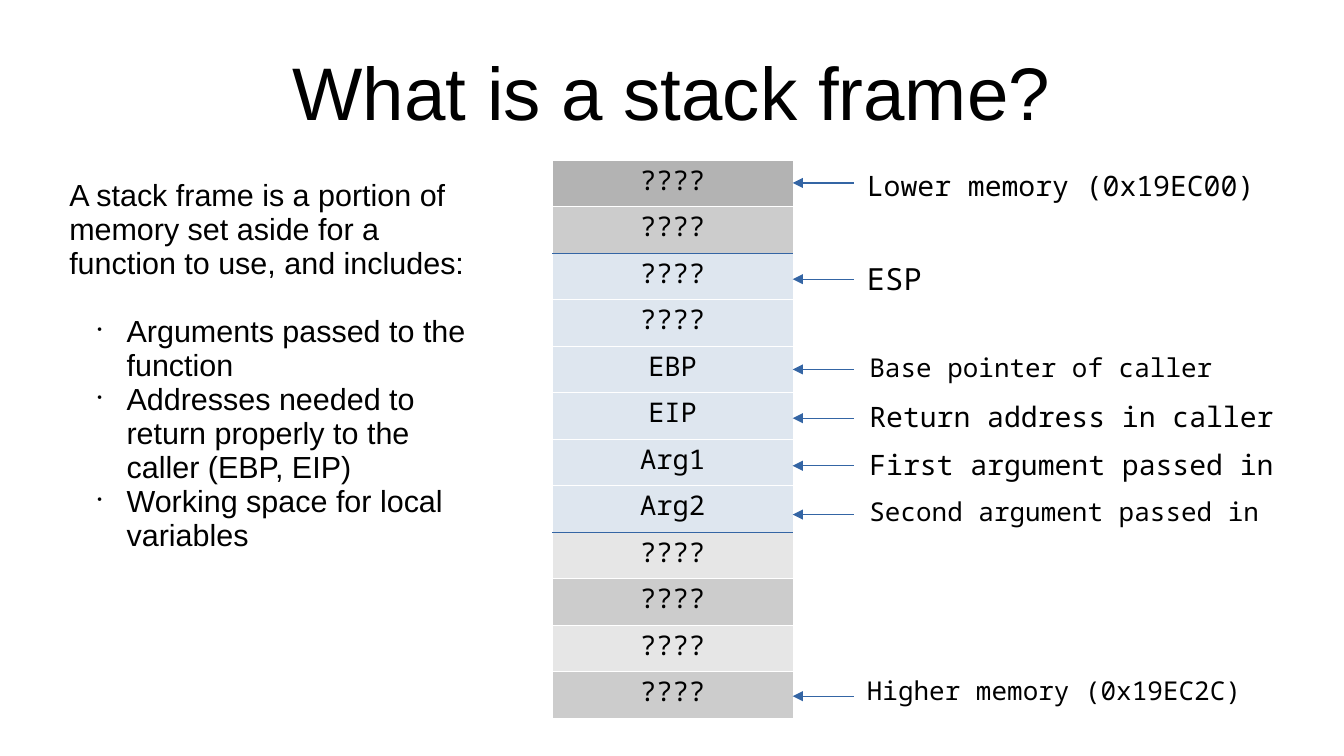
from dataclasses import dataclass

from lxml import etree
from pptx import Presentation
from pptx.dml.color import RGBColor
from pptx.enum.shapes import MSO_CONNECTOR
from pptx.enum.text import MSO_ANCHOR, MSO_AUTO_SIZE, PP_ALIGN
from pptx.oxml.ns import qn
from pptx.util import Inches, Pt

CENTER, LEFT = PP_ALIGN.CENTER, PP_ALIGN.LEFT
TOP, MIDDLE = MSO_ANCHOR.TOP, MSO_ANCHOR.MIDDLE
NO_AUTOFIT = MSO_AUTO_SIZE.NONE
STRAIGHT = MSO_CONNECTOR.STRAIGHT


@dataclass(frozen=True)
class Theme:
    text: str = "000000"
    accent: str = "3465A4"
    grid: str = "FFFFFF"
    dark: str = "B3B3B3"
    medium: str = "CCCCCC"
    light: str = "E6E6E6"
    frame: str = "DEE6EF"
    sans: str = "Arial"
    mono: str = "Noto Sans Mono"
    title_size: float = 44
    body_size: float = 18
    cell_size: float = 16
    label_size: float = 16.6
    small_label_size: float = 15.3
    border_width: float = 0.06
    arrow_width: float = 0.75


THEME = Theme()

STACK_LEFT, STACK_TOP, STACK_WIDTH, STACK_HEIGHT = 4.53, 1.31, 1.97, 4.58
STACK = [
    ("????", THEME.dark),
    ("????", THEME.medium),
    ("????", THEME.frame),
    ("????", THEME.frame),
    ("EBP", THEME.frame),
    ("EIP", THEME.frame),
    ("Arg1", THEME.frame),
    ("Arg2", THEME.frame),
    ("????", THEME.light),
    ("????", THEME.medium),
    ("????", THEME.light),
    ("????", THEME.medium),
]

# Text, left, top, width, size, line spacing, height of its arrow
LABELS = [
    ("Lower memory (0x19EC00)", 7.01, 1.36, 3.49, THEME.label_size, 0.73, 1.5),
    ("ESP", 7.01, 2.09, 0.61, THEME.body_size, 0.83, 2.29),
    ("Base pointer of caller", 7.03, 2.86, 3.22, THEME.small_label_size, 0.73, 3.03),
    ("Return address in caller", 7.03, 3.25, 3.72, THEME.label_size, 0.73, 3.43),
    ("First argument passed in", 7.03, 3.65, 3.72, THEME.label_size, 0.73, 3.82),
    ("Second argument passed in", 7.03, 4.04, 3.72, THEME.small_label_size, 0.73, 4.22),
    ("Higher memory (0x19EC2C)", 7.01, 5.51, 3.5, THEME.small_label_size, 0.73, 5.71),
]

INTRO = "A stack frame is a portion of memory set aside for a function to use, and includes:"
FRAME_PARTS = [
    "Arguments passed to the function",
    "Addresses needed to return properly to the caller (EBP, EIP)",
    "Working space for local variables",
]


def write_text(para, text, *, font, size, color=THEME.text, align=LEFT, spacing=0.93, before=0):
    para.alignment = align
    para.line_spacing = spacing
    para.space_before = Pt(before)
    para.space_after = Pt(0)
    span = para.add_run()
    span.text = text
    span.font.name = font
    span.font.size = Pt(size)
    span.font.color.rgb = RGBColor.from_string(color)


def add_bullet(para):
    para.level = 1
    properties = para._p.get_or_add_pPr()
    properties.set("marL", str(Inches(0.47)))
    properties.set("indent", str(Inches(-0.24)))
    color = etree.SubElement(properties, qn("a:buClr"))
    etree.SubElement(color, qn("a:srgbClr"), val=THEME.text)
    etree.SubElement(properties, qn("a:buSzPct"), val="45000")
    etree.SubElement(properties, qn("a:buChar"), char="•")


def set_borders(cell, **colors):
    """Draw the cell's edges; a keyword L, R, T or B overrides the grid colour."""
    properties = cell._tc.get_or_add_tcPr()
    for position, side in enumerate("LRTB"):
        line = etree.Element(qn(f"a:ln{side}"), w=str(Pt(THEME.border_width)))
        fill = etree.SubElement(line, qn("a:solidFill"))
        etree.SubElement(fill, qn("a:srgbClr"), val=colors.get(side, THEME.grid))
        properties.insert(position, line)


def set_frame(frame, margins, anchor=TOP, wrap=True):
    frame.auto_size = NO_AUTOFIT
    frame.word_wrap = wrap
    frame.vertical_anchor = anchor
    (frame.margin_left, frame.margin_top,
     frame.margin_right, frame.margin_bottom) = map(Inches, margins)


class SlideBuilder:
    def __init__(self, deck, theme):
        self.theme = theme
        self.slide = deck.slides.add_slide(deck.slide_layouts[5])

    def title(self, text, left, top, width, height):
        box = self.slide.shapes.title
        box.left, box.top, box.width, box.height = map(Inches, (left, top, width, height))
        set_frame(box.text_frame, (0, 0.04, 0, 0), MIDDLE)
        write_text(box.text_frame.paragraphs[0], text, font=self.theme.sans,
                   size=self.theme.title_size, align=CENTER)

    def text_frame(self, left, top, width, height, inset_top, wrap=True):
        box = self.slide.shapes.add_textbox(*map(Inches, (left, top, width, height)))
        set_frame(box.text_frame, (0.1, inset_top, 0.1, 0.05), wrap=wrap)
        return box.text_frame

    def bullet_list(self, intro, items, left, top, width, height):
        frame = self.text_frame(left, top, width, height, 0.07)
        style = {"font": self.theme.sans, "size": self.theme.body_size}
        write_text(frame.paragraphs[0], intro, **style)
        for index, item in enumerate(items):
            para = frame.add_paragraph()
            add_bullet(para)
            write_text(para, item, before=0 if index else 20, **style)

    def stack(self, rows, left, top, width, height):
        area = map(Inches, (left, top, width, height))
        table = self.slide.shapes.add_table(len(rows), 1, *area).table
        table.first_row = table.horz_banding = False
        fills = [fill for _, fill in rows]
        for index, (text, fill) in enumerate(rows):
            table.rows[index].height = Inches(height / len(rows))
            cell = table.cell(index, 0)
            cell.fill.solid()
            cell.fill.fore_color.rgb = RGBColor.from_string(fill)
            write_text(cell.text_frame.paragraphs[0], text, font=self.theme.mono,
                       size=self.theme.cell_size, align=CENTER, spacing=0.83)
            edges = {}
            for side, neighbour in (("T", index - 1), ("B", index + 1)):
                if 0 <= neighbour < len(rows):
                    if (fill == self.theme.frame) != (fills[neighbour] == self.theme.frame):
                        edges[side] = self.theme.accent
            set_borders(cell, **edges)

    def label(self, text, left, top, width, size, spacing):
        frame = self.text_frame(left, top, width, 0.38, 0.09, wrap=width > 1)
        write_text(frame.paragraphs[0], text, font=self.theme.mono, size=size, spacing=spacing)

    def arrow(self, tip, tail, height):
        line = self.slide.shapes.add_connector(
            STRAIGHT, Inches(tip), Inches(height), Inches(tail), Inches(height))
        line.line.color.rgb = RGBColor.from_string(self.theme.accent)
        line.line.width = Pt(self.theme.arrow_width)
        etree.SubElement(line.line._get_or_add_ln(), qn("a:headEnd"), type="triangle")
        etree.SubElement(line._element.spPr, qn("a:effectLst"))


def main():
    deck = Presentation()
    deck.slide_width, deck.slide_height = Inches(11.02), Inches(6.2)
    page = SlideBuilder(deck, THEME)
    page.title("What is a stack frame?", 0.55, 0.25, 9.92, 1.03)
    page.bullet_list(INTRO, FRAME_PARTS, 0.47, 1.4, 3.5, 4.47)
    page.stack(STACK, STACK_LEFT, STACK_TOP, STACK_WIDTH, STACK_HEIGHT)
    stack_right = STACK_LEFT + STACK_WIDTH
    for text, left, top, width, size, spacing, arrow_height in LABELS:
        page.label(text, left, top, width, size, spacing)
        page.arrow(stack_right, stack_right + 0.5, arrow_height)
    deck.save("out.pptx")


if __name__ == "__main__":
    main()
